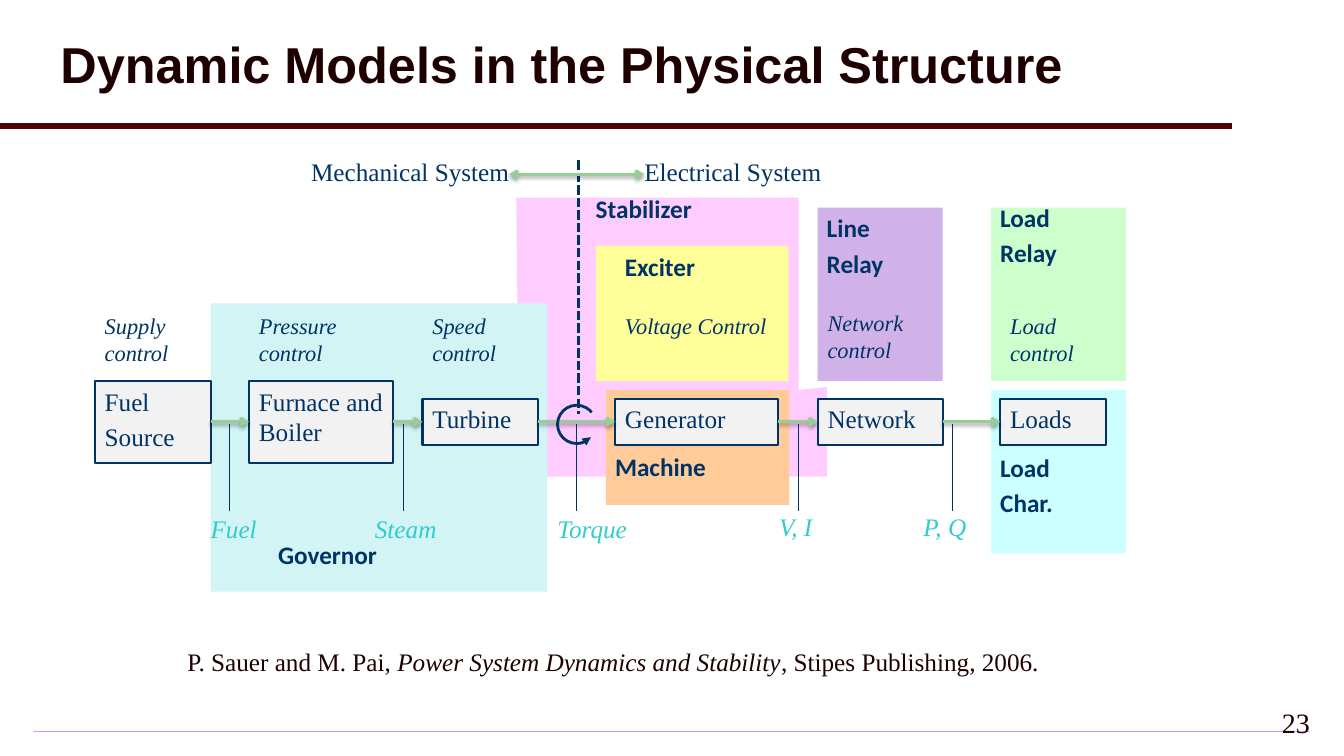
from lxml.etree import SubElement
from pptx import Presentation
from pptx.dml.color import RGBColor
from pptx.enum.dml import MSO_LINE
from pptx.enum.shapes import MSO_CONNECTOR, MSO_SHAPE
from pptx.enum.text import MSO_ANCHOR, MSO_AUTO_SIZE, PP_ALIGN
from pptx.oxml.ns import qn
from pptx.util import Inches, Pt

# Content
COLORS = dict(title="1E0000", rule="500000", navy="003366", teal="33CCCC", box="F2F2F2",
              flow="99CC99", stabilizer="FFCCFF", machine="FFCC99", line_relay="D1B2E8",
              load_relay="CCFFCC", load_char="CCFFFF", governor="D2F4F4", exciter="FFFF99",
              foot_edge="F3EBFF", foot_mid="CC99FF")
TITLE = "Dynamic Models in the Physical Structure"
CITATION = [("P. Sauer and M. Pai, ", False), ("Power System Dynamics and Stability", True),
            (", Stipes Publishing, 2006.", False)]
STABILIZER = [(8.2, 4.73), (8.2, 3.84), (7.92, 3.87), (7.92, 1.96), (5.12, 1.96), (5.15, 4.73)]
ZONES = [  # colour, left, top, width, height
    ("machine", 6.01, 3.87, 1.82, 1.14),
    ("line_relay", 8.11, 2.06, 1.24, 1.72),
    ("load_relay", 9.83, 2.06, 1.34, 1.72),
    ("load_char", 9.83, 3.87, 1.34, 1.62),
    ("governor", 2.09, 3.01, 3.34, 2.86),
    ("exciter", 5.91, 2.44, 1.91, 1.34),
]
ZONE_LABELS = [  # lines, left, top, width, side inset
    (["Machine"], 6.1, 4.43, 1.62, 0),
    (["Governor"], 2.66, 5.3, 2.58, 0.1),
    (["Exciter"], 6.1, 2.44, 1.62, 0.1),
    (["Load", "Char."], 9.92, 4.44, 1.15, 0),
    (["Load", "Relay"], 9.92, 1.96, 1.15, 0),
    (["Line", "Relay"], 8.2, 2.06, 0.96, 0),
    (["Stabilizer"], 5.81, 1.87, 1.82, 0.1),
]
STAGES = [  # lines, left, width, height, control, control top
    (["Fuel", "Source"], 0.94, 1.15, 0.81, "Supply control", 3.05),
    (["Furnace and Boiler"], 2.47, 1.43, 0.81, "Pressure control", 3.05),
    (["Turbine"], 4.19, 1.15, 0.46, "Speed control", 3.05),
    (["Generator"], 6.1, 1.62, 0.46, "Voltage Control", 3.05),
    (["Network"], 8.11, 1.24, 0.46, "Network control", 3.02),
    (["Loads"], 9.92, 1.05, 0.46, "Load control", 3.05),
]
SIGNALS = [  # text, left, top, width, x of its line
    ("Fuel", 1.99, 5.04, 1.05, 2.28),
    ("Steam", 3.62, 5.04, 1.05, 4),
    ("Torque", 5.43, 5.04, 1.05, 5.72),
    ("V, I", 7.63, 5.02, 0.76, 7.92),
    ("P, Q", 9.06, 5.02, 0.76, 9.45),
]
FLOW_Y = 4.185  # centre line of the stages

SERIF = dict(name="Times New Roman", size=Pt(18), bold=False, italic=False)
ZONE_FONT = dict(SERIF, name="Calibri", bold=True)
CONTROL_FONT = dict(SERIF, size=Pt(16), italic=True)
SIGNAL_FONT = dict(SERIF, italic=True)
TITLE_FONT = dict(name="Arial", size=Pt(36), bold=True)

prs = Presentation()
prs.slide_width, prs.slide_height = Inches(13.33), Inches(7.5)
s = prs.slides.add_slide(prs.slide_layouts[5])


def rgb(color):
    return RGBColor.from_string(COLORS[color])


def style(font, formats, color):
    for key, value in formats.items():
        setattr(font, key, value)
    font.color.rgb = rgb(color)


def write(sp, lines, formats, color="navy", inset=0.1, align=PP_ALIGN.LEFT):
    tf = sp.text_frame
    frame = dict(word_wrap=True, auto_size=MSO_AUTO_SIZE.NONE, vertical_anchor=MSO_ANCHOR.TOP,
                 margin_left=Inches(inset), margin_right=Inches(inset))
    for key, value in frame.items():
        setattr(tf, key, value)
    for i, line in enumerate(lines):
        p = tf.add_paragraph() if i else tf.paragraphs[0]
        p.alignment = align
        if i:
            p.space_before = Pt(3.6)
        r = p.add_run()
        r.text = line
        style(r.font, formats, color)


def add_text(lines, left, top, width, height, formats, **options):
    sp = s.shapes.add_textbox(*map(Inches, (left, top, width, height)))
    write(sp, lines, formats, **options)
    return sp


def paint(sp, color):
    sp.shadow.inherit = False
    sp.fill.solid()
    sp.fill.fore_color.rgb = rgb(color)
    sp.line.fill.background()


def add_shape(kind, left, top, width, height, color):
    sp = s.shapes.add_shape(kind, *map(Inches, (left, top, width, height)))
    paint(sp, color)
    return sp


def set_line(sp, color, width):
    sp.line.color.rgb = rgb(color)
    sp.line.width = Pt(width)


def add_line(x1, y1, x2, y2, color, width):
    c = s.shapes.add_connector(MSO_CONNECTOR.STRAIGHT, *map(Inches, (x1, y1, x2, y2)))
    set_line(c, color, width)
    SubElement(c._element.spPr, qn("a:effectLst"))
    return c


def add_end(sp, end, kind):
    SubElement(sp.line._get_or_add_ln(), qn(f"a:{end}End"), type=kind)


def add_flow(source, target, ends=("tail",)):
    c = add_line(0, 0, 1, 0, "flow", 2)
    c.begin_connect(source, 3)
    c.end_connect(target, 1)
    for end in ends:
        add_end(c, end, "arrow")
    shadow = SubElement(c._element.spPr.find(qn("a:effectLst")), qn("a:outerShdw"),
                        blurRad=str(Pt(3.1)), dist=str(Pt(1.6)), dir="5400000", rotWithShape="0")
    black = SubElement(shadow, qn("a:srgbClr"), val="000000")
    SubElement(black, qn("a:alpha"), val="38000")


# Footer line and title rule
foot = add_shape(MSO_SHAPE.RECTANGLE, 0.33, 7.25, 12.66, 0.01, "foot_mid")
foot.fill.gradient()
for stop, color in zip(foot.fill.gradient_stops, ("foot_mid", "foot_edge")):
    stop.color.rgb = rgb(color)
grad = foot._element.spPr.find(qn("a:gradFill"))
grad.remove(grad.find(qn("a:lin")))
radial = SubElement(grad, qn("a:path"), {"path": "shape"})
SubElement(radial, qn("a:fillToRect"), l="50000", t="50000", r="50000", b="50000")
add_line(0, 1.25, 12.22, 1.25, "rule", 4)

# Title
title = s.shapes.title
title.left, title.top, title.width, title.height = map(Inches, (0.5, 0.08, 12.22, 1.17))
write(title, [TITLE], TITLE_FONT, "title")
title.text_frame.vertical_anchor = MSO_ANCHOR.MIDDLE
title.text_frame.paragraphs[0].line_spacing = 0.9

# Coloured zones and their labels
points = [(Inches(x), Inches(y)) for x, y in STABILIZER]
outline = s.shapes.build_freeform(*points[0])
outline.add_line_segments(points[1:], close=True)
paint(outline.convert_to_shape(), "stabilizer")
for color, *place in ZONES:
    add_shape(MSO_SHAPE.RECTANGLE, *place, color)
for lines, left, top, width, inset in ZONE_LABELS:
    add_text(lines, left, top, width, 0.58 if len(lines) == 1 else 1.04, ZONE_FONT, inset=inset)

# Stages with their controls
stages = []
for lines, left, width, height, control, control_top in STAGES:
    sp = add_shape(MSO_SHAPE.RECTANGLE, left, FLOW_Y - height / 2, width, height, "box")
    set_line(sp, "navy", 1.5)
    write(sp, lines, SERIF)
    stages.append(sp)
    add_text([control], left, control_top, width, 0.73, CONTROL_FONT)

# Border between the two systems
add_line(5.74, 1.59, 5.74, 4.11, "navy", 2.25).line.dash_style = MSO_LINE.SQUARE_DOT
electrical = add_text(["Electrical System"], 6.39, 1.5, 2.2, 0.46, SERIF, inset=0)
mechanical = add_text(["Mechanical System"], 2.66, 1.5, 2.39, 0.46, SERIF, inset=0,
                      align=PP_ALIGN.RIGHT)
add_flow(mechanical, electrical, ("head", "tail"))

# Flow arrows and signals
for source, target in zip(stages, stages[1:]):
    add_flow(source, target)
for text, left, top, width, x in SIGNALS:
    add_text([text], left, top, width, 0.46, SIGNAL_FONT, color="teal")
    add_line(x, 5.07, x, 4.21, "navy", 0.75)

# Shaft rotation
arc = add_shape(MSO_SHAPE.ARC, 5.53, 4.02, 0.38, 0.38, "box")
arc.fill.background()
arc.adjustments[0], arc.adjustments[1] = 25.213, 192.864
set_line(arc, "navy", 2)
add_end(arc, "head", "triangle")

# Citation and page number
cite = add_text([], 0.87, 6.36, 10.42, 0.48, SERIF)
p = cite.text_frame.paragraphs[0]
p.alignment = PP_ALIGN.CENTER
for text, italic in CITATION:
    r = p.add_run()
    r.text = text
    style(r.font, dict(SERIF, italic=italic), "title")
number = add_text(["23"], 12.42, 6.92, 0.67, 0.5, dict(SERIF, size=Pt(20)), color="title",
                  align=PP_ALIGN.RIGHT)
number.text_frame.vertical_anchor = MSO_ANCHOR.MIDDLE

prs.save("out.pptx")
